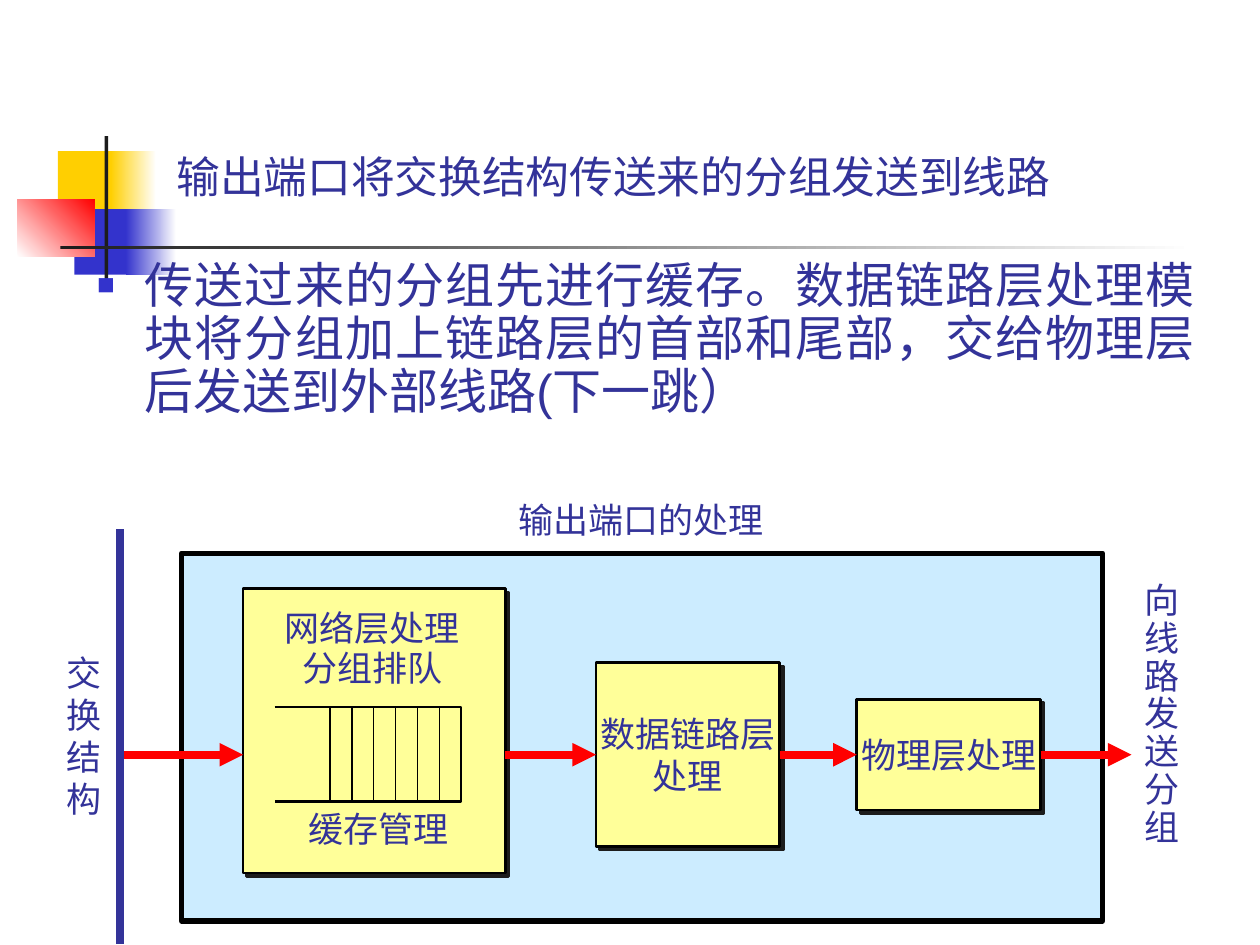
from lxml.etree import SubElement
from pptx import Presentation
from pptx.dml.color import RGBColor
from pptx.enum.shapes import MSO_CONNECTOR, MSO_SHAPE
from pptx.enum.text import MSO_ANCHOR, MSO_AUTO_SIZE, PP_ALIGN
from pptx.oxml.ns import qn
from pptx.util import Inches, Pt

WHITE = RGBColor(0xFF, 0xFF, 0xFF)
BLACK = RGBColor(0, 0, 0)
CHARCOAL = RGBColor(0x1C, 0x1C, 0x1C)
GOLD = RGBColor(0xFF, 0xCF, 0x01)
BLUE = RGBColor(0x33, 0x33, 0xCC)
RED = RGBColor(0xFF, 0, 0)
INDIGO = RGBColor(0x33, 0x33, 0x99)
SKY = RGBColor(0xCC, 0xEC, 0xFF)
CREAM = RGBColor(0xFF, 0xFF, 0x99)
FONT = "Arial"


def apply_format(target, values):
    """Set each named attribute of the target."""
    for name, value in values.items():
        setattr(target, name, value)


def add_node(parent, tag, **attributes):
    """Append a DrawingML element with the given attributes."""
    return SubElement(parent, qn(f"a:{tag}"), attributes)


def write_lines(frame, lines, size, frame_format, paragraph_format):
    """Write one paragraph per line in the slide's text style."""
    apply_format(frame, frame_format)
    for index, line in enumerate(lines):
        paragraph = frame.paragraphs[0] if index == 0 else frame.add_paragraph()
        apply_format(paragraph, paragraph_format)
        run = paragraph.add_run()
        run.text = line
        apply_format(run.font, {"name": FONT, "size": Pt(size), "bold": False})
        run.font.color.rgb = INDIGO


def add_block(slide, box, colour, fade=None, angle=0):
    """Add a borderless rectangle, plain or fading to a second colour."""
    block = slide.shapes.add_shape(MSO_SHAPE.RECTANGLE, *map(Inches, box))
    block.shadow.inherit = False
    block.line.fill.background()
    if fade is None:
        block.fill.solid()
        block.fill.fore_color.rgb = colour
    else:
        block.fill.gradient()
        block.fill.gradient_angle = angle
        for stop, shade in zip(block.fill.gradient_stops, (colour, fade)):
            stop.color.rgb = shade
    return block


def add_bordered(slide, box, colour, weight):
    """Add a filled rectangle with a black border."""
    block = add_block(slide, box, colour)
    block.line.color.rgb = BLACK
    block.line.width = Pt(weight)
    return block


def add_line(slide, start, end, colour, weight, arrow=False):
    """Add a straight connector between two points."""
    line = slide.shapes.add_connector(
        MSO_CONNECTOR.STRAIGHT, *map(Inches, (*start, *end)))
    line.line.color.rgb = colour
    line.line.width = Pt(weight)
    if arrow:
        add_node(line.line._get_or_add_ln(), "tailEnd", type="triangle")
    add_node(line._element.spPr, "effectLst")
    return line


def add_label(slide, box, lines, spacing=1.0):
    """Add a centred label of one or more lines."""
    label = slide.shapes.add_textbox(*map(Inches, box))
    write_lines(label.text_frame, lines, 20, {"word_wrap": False},
                {"alignment": PP_ALIGN.CENTER, "line_spacing": spacing})


def add_stage(slide, box, lines=()):
    """Add a processing stage with a hard shadow."""
    stage = add_bordered(slide, box, CREAM, 1.5)
    effects = stage._element.spPr.find(qn("a:effectLst"))
    shadow = add_node(effects, "outerShdw", dist=str(Pt(2.8)), dir="2700000",
                      algn="ctr", rotWithShape="0")
    add_node(shadow, "srgbClr", val=str(CHARCOAL))
    write_lines(stage.text_frame, lines, 20,
                {"word_wrap": False, "vertical_anchor": MSO_ANCHOR.MIDDLE},
                {"alignment": PP_ALIGN.CENTER})
    return stage


def draw_ornament(slide, left, top):
    """Draw the coloured corner squares and the two rules."""
    blocks = (
        (0.32, 0.12, 0.48, 0.52, GOLD),
        (0.74, 0.12, 0.36, 0.52, GOLD, WHITE),
        (0.45, 0.58, 0.46, 0.52, BLUE),
        (0.86, 0.58, 0.4, 0.52, BLUE, WHITE),
        (0, 0.5, 0.61, 0.46, WHITE, RED, 45),
        (0.69, 0, 0.03, 1.15, CHARCOAL),
        (0.34, 0.87, 9, 0.03, CHARCOAL, WHITE),
    )
    for x, y, width, height, *paint in blocks:
        add_block(slide, (left + x, top + y, width, height), *paint)


def place(slide, placeholder, box):
    """Move a placeholder to its box, in front of the shapes so far."""
    names = ("left", "top", "width", "height")
    apply_format(placeholder, dict(zip(names, map(Inches, box))))
    slide.shapes._spTree.append(placeholder._element)


def fill_title(slide, box, heading):
    """Place and write the slide title."""
    title = slide.shapes.title
    place(slide, title, box)
    write_lines(title.text_frame, [heading], 25,
                {"vertical_anchor": MSO_ANCHOR.BOTTOM, "word_wrap": True,
                 "auto_size": MSO_AUTO_SIZE.NONE},
                {"alignment": PP_ALIGN.LEFT})
    spacer = title.text_frame.paragraphs[0].add_run()
    spacer.text = " "
    apply_format(spacer.font, {"name": FONT, "size": Pt(40)})


def fill_body(slide, box, statement):
    """Place and write the bulleted explanation."""
    body = slide.placeholders[1]
    place(slide, body, box)
    write_lines(body.text_frame, [statement], 28,
                {"word_wrap": True, "auto_size": MSO_AUTO_SIZE.NONE},
                {"alignment": PP_ALIGN.JUSTIFY, "line_spacing": 0.9,
                 "space_before": Pt(5.6)})
    properties = body.text_frame.paragraphs[0]._p.get_or_add_pPr()
    indent = Inches(0.38)
    properties.set("marL", str(indent))
    properties.set("indent", str(-indent))
    add_node(add_node(properties, "buClr"), "srgbClr", val=str(BLUE))
    add_node(properties, "buSzPct", val="60000")
    add_node(properties, "buFont", typeface=FONT)
    add_node(properties, "buChar", char="■")


def draw_queue(slide, left, top, width, height):
    """Draw the open-ended buffer with its evenly spaced packets."""
    right, bottom = left + width, top + height
    corners = [(Inches(x), Inches(y)) for x, y in
               ((left, top), (right, top), (right, bottom), (left, bottom))]
    builder = slide.shapes.build_freeform(*corners[0])
    builder.add_line_segments(corners[1:], close=False)
    buffer = builder.convert_to_shape()
    buffer.shadow.inherit = False
    buffer.fill.background()
    buffer.line.color.rgb = BLACK
    buffer.line.width = Pt(1.5)
    first, packets = left + 0.44, 6
    for index in range(packets):
        x = first + index * (right - first) / packets
        add_line(slide, (x, top), (x, bottom), BLACK, 0.75)


def draw_port(slide, left, top, width, height):
    """Draw the output port, its stages, flow arrows and labels."""
    flow = top + 1.6
    add_bordered(slide, (left, top, width, height), SKY, 3)
    physical = add_stage(slide, (left + 5.36, flow - 0.44, 1.46, 0.88), ["物理层处理"])
    link = add_stage(slide, (left + 3.29, flow - 0.73, 1.46, 1.46), ["数据链路层", "处理"])
    add_stage(slide, (left + 0.49, top + 0.28, 2.08, 2.26))
    hops = ((6.82, 7.54, physical, None), (4.75, 5.36, link, physical),
            (2.57, 3.29, None, link), (-0.49, 0.49, None, None))
    for start, end, source, target in hops:
        arrow = add_line(slide, (left + start, flow), (left + end, flow), RED, 4.5, True)
        if source:
            arrow.begin_connect(source, 3)
        if target:
            arrow.end_connect(target, 1)
    add_line(slide, (left - 0.49, top - 0.19), (left - 0.49, top + 3.1), INDIGO, 4.5)
    draw_queue(slide, left + 0.74, top + 1.22, 1.48, 0.75)
    labels = (
        ((0.72, 0.4, 1.59, 0.73), ["网络层处理", "分组排队"], 0.95),
        ((2.5, -0.48, 2.3, 0.44), ["输出端口的处理"], 1.0),
        ((7.54, 0.19, 0.48, 2.2), "向线路发送分组", 0.9),
        ((0.91, 1.97, 1.31, 0.43), ["缓存管理"], 1.0),
        ((-1.01, 0.73, 0.48, 1.43), "交换结构", 1.0),
    )
    for (x, y, *size), lines, spacing in labels:
        add_label(slide, (left + x, top + y, *size), lines, spacing)


def main():
    """Build and save the output port slide."""
    deck = Presentation()
    deck.slide_width, deck.slide_height = Inches(10), Inches(7.5)
    slide = deck.slides.add_slide(deck.slide_layouts[1])
    draw_ornament(slide, 0.14, 1.08)
    fill_title(slide, (1.3, 0.6, 7.42, 1.1), "输出端口将交换结构传送来的分组发送到线路")
    fill_body(slide, (0.67, 2.02, 8.92, 1.65),
              "传送过来的分组先进行缓存。数据链路层处理模块将分组加上链路层的首部和尾部，"
              "交给物理层后发送到外部线路(下一跳）")
    draw_port(slide, 1.44, 4.39, 7.31, 2.92)
    deck.save("out.pptx")


if __name__ == "__main__":
    main()
